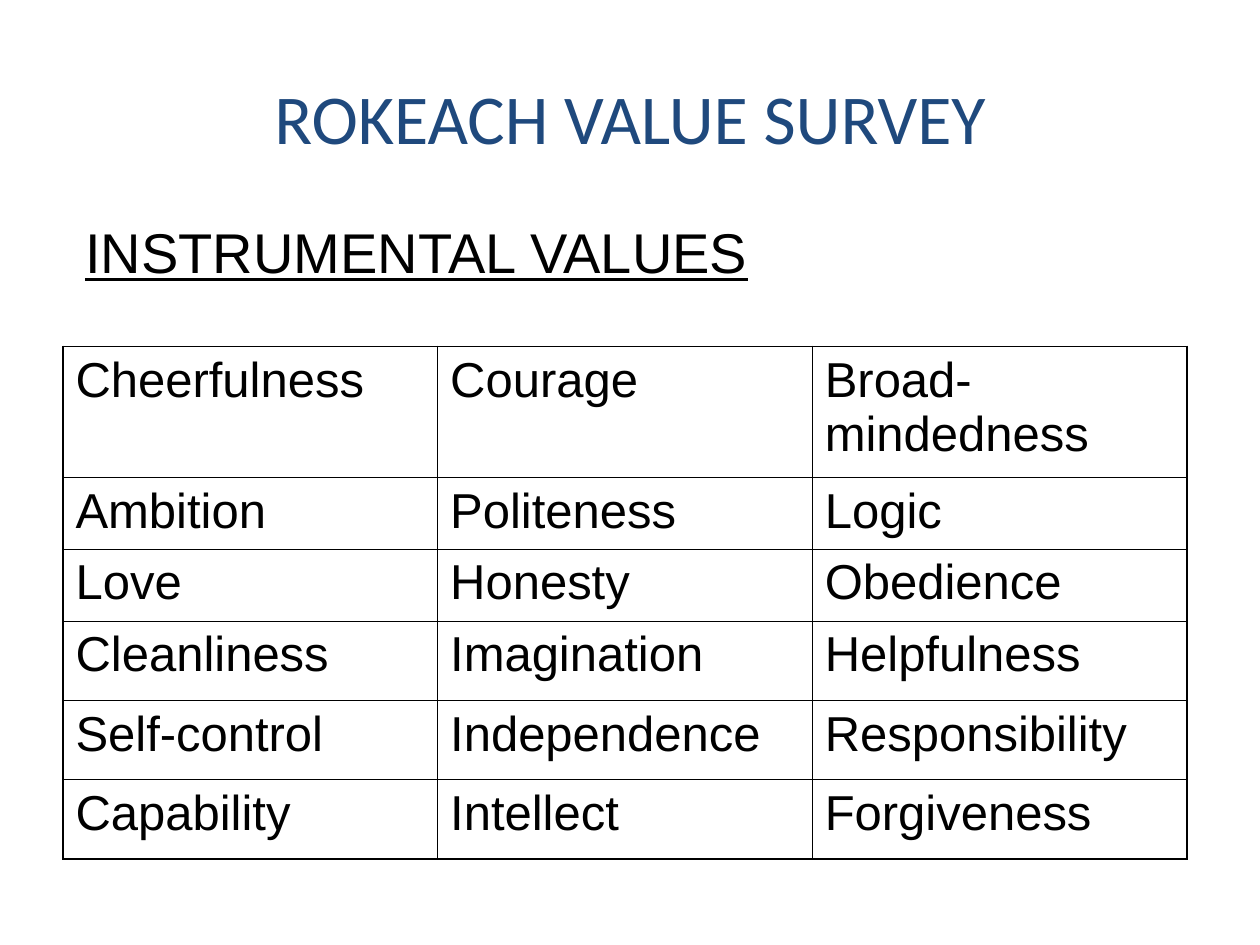
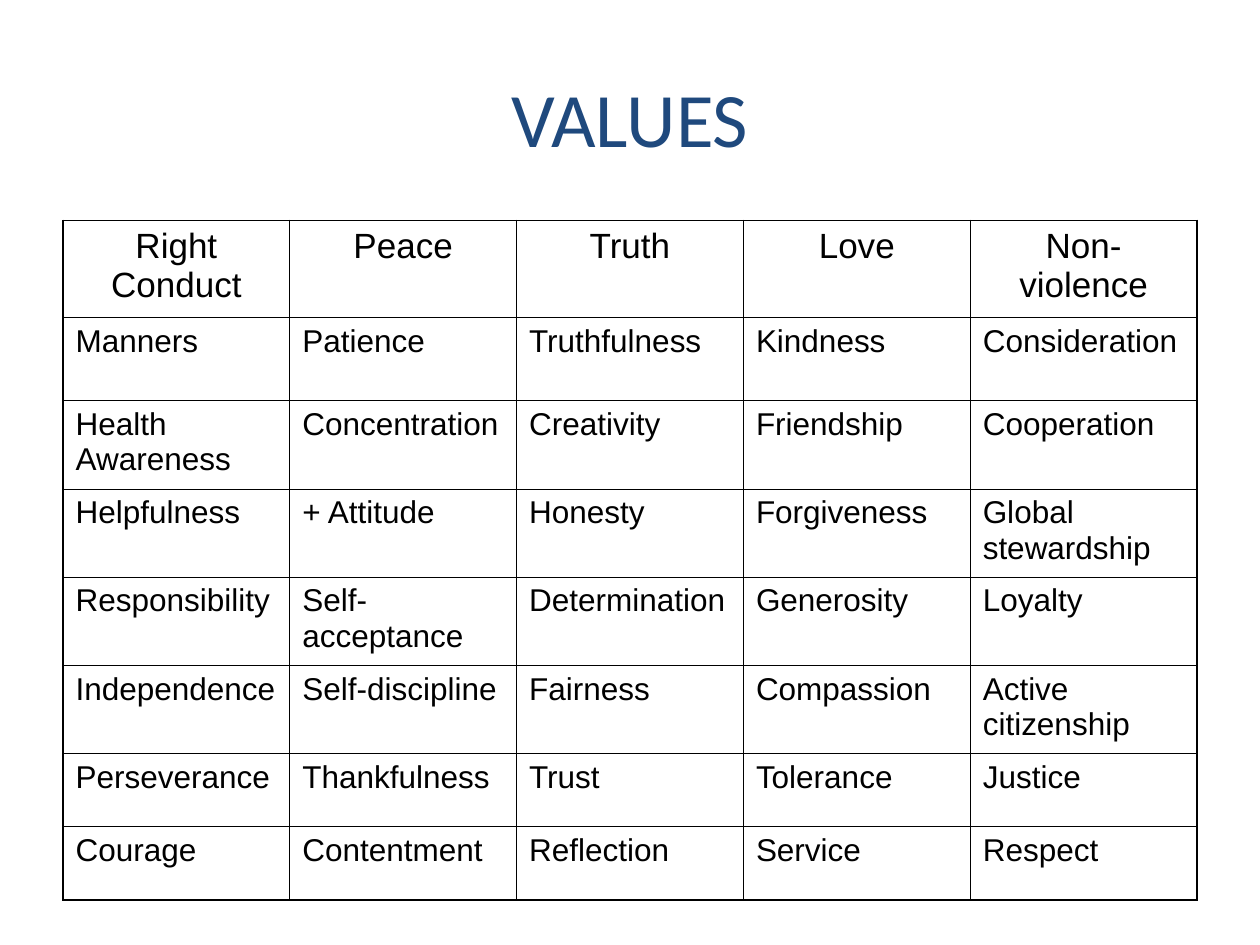
from lxml.etree import SubElement
from pptx import Presentation
from pptx.dml.color import RGBColor
from pptx.enum.text import MSO_ANCHOR, PP_ALIGN
from pptx.oxml.ns import qn
from pptx.util import Inches, Pt

COLORS = {"title": "1F497D", "text": "000000", "border": "000000"}
WIDTH, HEIGHT = 10, 7.5
MARGIN = 0.05 * WIDTH
BLANK_LAYOUT = 6
OUTER_LINE, INNER_LINE = Pt(1.08), Pt(0.45)

TITLE = {"name": "Calibri", "color": COLORS["title"]}
BODY = {"name": "Arial", "color": COLORS["text"]}

INSTRUMENTAL_VALUES = [
    ["Cheerfulness", "Courage", "Broad-mindedness"],
    ["Ambition", "Politeness", "Logic"],
    ["Love", "Honesty", "Obedience"],
    ["Cleanliness", "Imagination", "Helpfulness"],
    ["Self-control", "Independence", "Responsibility"],
    ["Capability", "Intellect", "Forgiveness"],
]
INSTRUMENTAL_HEIGHTS = [1.04] + [0.57] * 2 + [0.63] * 3

HUMAN_VALUES = [
    ["Right Conduct", "Peace", "Truth", "Love", "Non-violence"],
    ["Manners", "Patience", "Truthfulness", "Kindness", "Consideration"],
    ["Health Awareness", "Concentration", "Creativity", "Friendship", "Cooperation"],
    ["Helpfulness", "+ Attitude", "Honesty", "Forgiveness", "Global stewardship"],
    ["Responsibility", "Self-acceptance", "Determination", "Generosity", "Loyalty"],
    ["Independence", "Self-discipline", "Fairness", "Compassion", "Active citizenship"],
    ["Perseverance", "Thankfulness", "Trust", "Tolerance", "Justice"],
    ["Courage", "Contentment", "Reflection", "Service", "Respect"],
]
HUMAN_HEIGHTS = [0.77, 0.66] + [0.7] * 4 + [0.58] * 2


def write_text(frame, text, style, align=PP_ALIGN.LEFT):
    para = frame.paragraphs[0]
    para.alignment = align
    span = para.add_run()
    span.text = text
    for name, value in style.items():
        if name == "color":
            span.font.color.rgb = RGBColor.from_string(value)
        else:
            setattr(span.font, name, value)


def add_text(page, text, area, style, align, anchor):
    box = page.shapes.add_textbox(*map(Inches, area))
    frame = box.text_frame
    frame.word_wrap = True
    frame.vertical_anchor = anchor
    write_text(frame, text, style, align)


def add_title(page, text, size):
    area = (MARGIN, 0.04 * HEIGHT, WIDTH - 2 * MARGIN, HEIGHT / 6)
    add_text(page, text, area, {**TITLE, "size": Pt(size)},
             PP_ALIGN.CENTER, MSO_ANCHOR.MIDDLE)


def set_borders(cell, outer_sides):
    """Draw all four sides, heavier where the side is on the table's edge."""
    cell.fill.background()
    properties = cell._tc.get_or_add_tcPr()
    for index, side in enumerate("LRTB"):
        width = OUTER_LINE if side in outer_sides else INNER_LINE
        line = SubElement(properties, qn(f"a:ln{side}"), w=str(width))
        fill = SubElement(line, qn("a:solidFill"))
        SubElement(fill, qn("a:srgbClr"), val=COLORS["border"])
        properties.insert(index, line)


def add_values_table(page, values, top, width, heights, size, header_size=None):
    """Fill a table of equal columns; a header size centres the first row."""
    row_count, column_count = len(values), len(values[0])
    frame = page.shapes.add_table(
        row_count, column_count, Inches(MARGIN), Inches(top),
        Inches(width), Inches(sum(heights)))
    table = frame.table
    table.first_row = table.horz_banding = False
    for column in table.columns:
        column.width = Inches(width / column_count)
    for r, (words, height) in enumerate(zip(values, heights)):
        table.rows[r].height = Inches(height)
        is_header = header_size is not None and r == 0
        style = {**BODY, "size": Pt(header_size if is_header else size)}
        align = PP_ALIGN.CENTER if is_header else PP_ALIGN.LEFT
        for c, word in enumerate(words):
            cell = table.cell(r, c)
            write_text(cell.text_frame, word, style, align)
            edges = {"L": c == 0, "R": c == column_count - 1,
                     "T": r == 0, "B": r == row_count - 1}
            set_borders(cell, [side for side, on_edge in edges.items() if on_edge])


def add_page(deck):
    return deck.slides.add_slide(deck.slide_layouts[BLANK_LAYOUT])


def add_survey_page(deck):
    page = add_page(deck)
    add_title(page, "ROKEACH VALUE SURVEY", 40)
    add_values_table(page, INSTRUMENTAL_VALUES, 2.75, 8.92, INSTRUMENTAL_HEIGHTS, 28)
    add_text(page, "INSTRUMENTAL VALUES", (0.58, 1.67, 5.67, 0.64),
             {**BODY, "size": Pt(32), "underline": True},
             PP_ALIGN.LEFT, MSO_ANCHOR.BOTTOM)


def add_human_values_page(deck):
    page = add_page(deck)
    add_title(page, "VALUES", 44)
    add_values_table(page, HUMAN_VALUES, 1.75, WIDTH - 2 * MARGIN,
                     HUMAN_HEIGHTS, 18, header_size=20)


def main():
    deck = Presentation()
    deck.slide_width, deck.slide_height = Inches(WIDTH), Inches(HEIGHT)
    add_survey_page(deck)
    add_human_values_page(deck)
    deck.save("out.pptx")


if __name__ == "__main__":
    main()
